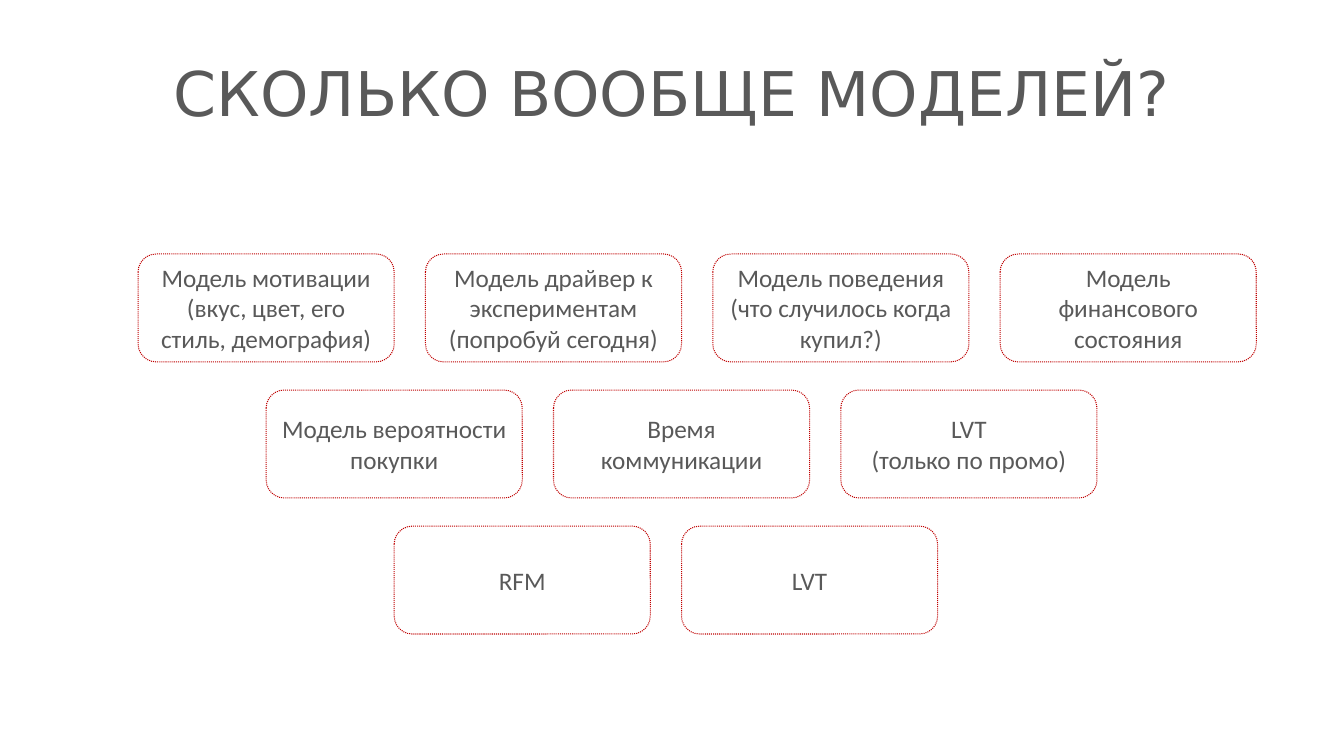
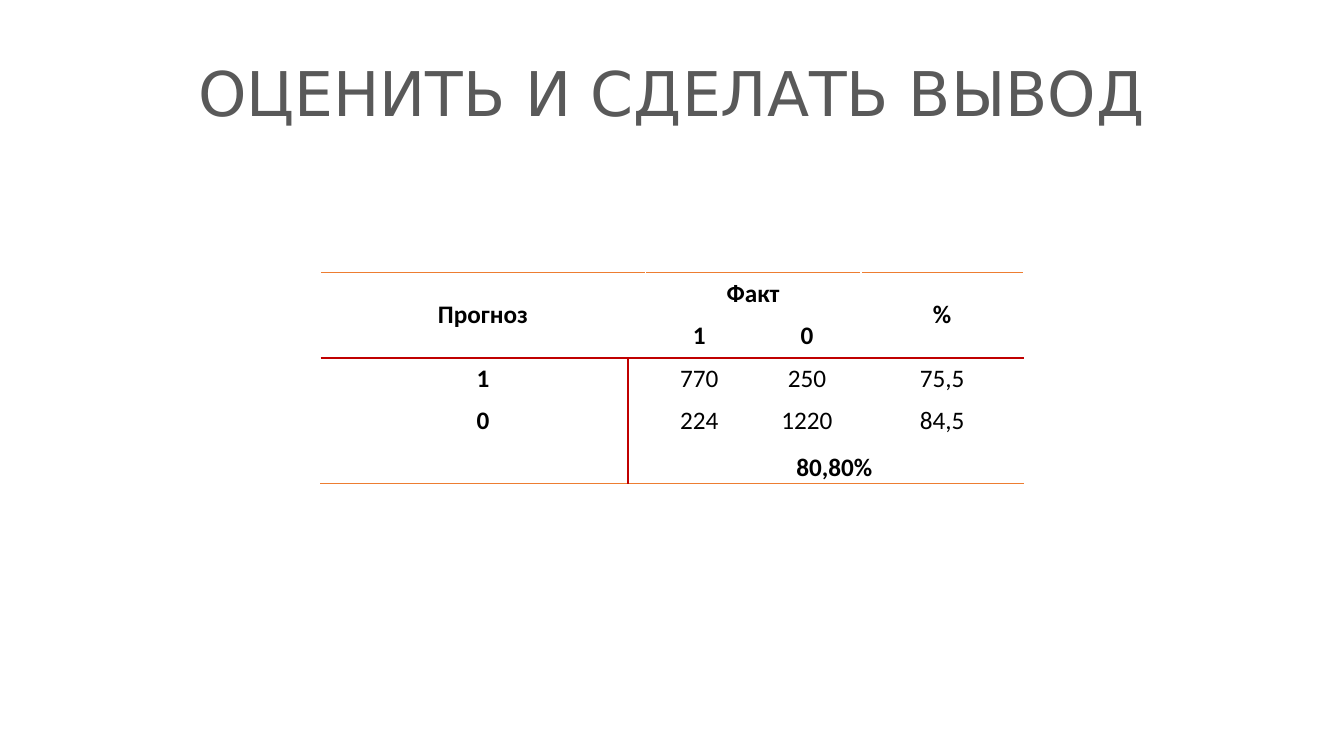
from lxml import etree
from pptx import Presentation
from pptx.dml.color import RGBColor
from pptx.enum.dml import MSO_LINE
from pptx.enum.shapes import MSO_CONNECTOR, MSO_SHAPE
from pptx.enum.text import MSO_ANCHOR, PP_ALIGN
from pptx.oxml.ns import qn
from pptx.util import Inches, Pt

GREY = RGBColor(0x59, 0x59, 0x59)
BLACK = RGBColor(0x00, 0x00, 0x00)
RED = RGBColor(0xC0, 0x00, 0x00)
ORANGE = RGBColor(0xED, 0x7D, 0x31)

TITLE_FONT = "DejaVu Sans"
BODY_FONT = "Calibri"
CENTER = PP_ALIGN.CENTER
MIDDLE = MSO_ANCHOR.MIDDLE
BOTTOM = MSO_ANCHOR.BOTTOM
ROUNDED = MSO_SHAPE.ROUNDED_RECTANGLE
STRAIGHT = MSO_CONNECTOR.STRAIGHT
DOTTED = MSO_LINE.ROUND_DOT

BOX_WIDTH, BOX_HEIGHT = 2.54, 1.07
BOX_LEFT, BOX_TOP = 1.37, 2.52
BOX_STEP_X, BOX_STEP_Y = 2.85, 1.35
ROW_INDENT = 1.27
MODEL_ROWS = [
    ["Модель мотивации\n(вкус, цвет, его стиль, демография)",
     "Модель драйвер к экспериментам\n(попробуй сегодня)",
     "Модель поведения\n(что случилось когда купил?)",
     "Модель финансового состояния"],
    ["Модель вероятности покупки", "Время коммуникации",
     "LVT\n(только по промо)"],
    ["RFM", "LVT"],
]

TABLE_LEFT, TABLE_TOP = 3.18, 2.7
COLUMN_WIDTHS = [3.22, 1.07, 1.07, 1.61]
ROW_HEIGHT = 0.42
FORECAST_ROWS = [
    ["Прогноз", "Факт", "", "%"],
    ["", "1", "0", ""],
    ["1", "770", "250", "75,5"],
    ["0", "224", "1220", "84,5"],
    ["", "80,80%", "", ""],
]
MERGES = [((0, 0), (1, 0)), ((0, 1), (0, 2)), ((0, 3), (1, 3)), ((4, 1), (4, 3))]
HEADER_BOTTOM, TABLE_BOTTOM = 3.55, 4.8
DIVIDER_X, TABLE_RIGHT = 6.23, 10.16


def write_text(paragraph, text, size, font, color, bold=False):
    paragraph.text = text
    paragraph.alignment = CENTER
    for run in paragraph.runs:
        run.font.size = Pt(size)
        run.font.name = font
        run.font.color.rgb = color
        run.font.bold = bold


def add_titled_slide(presentation, title):
    slide = presentation.slides.add_slide(presentation.slide_layouts[6])
    box = slide.shapes.add_textbox(Inches(0.62), Inches(0.58),
                                   Inches(12.09), Inches(1.45))
    box.text_frame.word_wrap = True
    paragraph = box.text_frame.paragraphs[0]
    write_text(paragraph, title, 44, TITLE_FONT, GREY)
    paragraph.line_spacing = 0.9
    return slide


def add_model_box(slide, left, top, text):
    shape = slide.shapes.add_shape(ROUNDED, Inches(left), Inches(top),
                                   Inches(BOX_WIDTH), Inches(BOX_HEIGHT))
    shape.shadow.inherit = False
    shape.fill.background()
    shape.line.color.rgb = RED
    shape.line.width = Pt(0.75)
    shape.line.dash_style = DOTTED
    shape.text_frame.word_wrap = True
    shape.text_frame.vertical_anchor = MIDDLE
    write_text(shape.text_frame.paragraphs[0], text, 18, BODY_FONT, GREY)


def add_line(slide, x1, y1, x2, y2):
    line = slide.shapes.add_connector(STRAIGHT, Inches(x1), Inches(y1),
                                      Inches(x2), Inches(y2))
    line.line.color.rgb = RED
    line.line.width = Pt(1)
    etree.SubElement(line._element.spPr, qn("a:effectLst"))


def add_cell_border(cell, side):
    """Draw an orange edge; side is a:lnT or a:lnB."""
    border = etree.Element(qn(side), w=str(Pt(1)))
    fill = etree.SubElement(border, qn("a:solidFill"))
    etree.SubElement(fill, qn("a:srgbClr"), val=str(ORANGE))
    cell._tc.get_or_add_tcPr().insert(0, border)


def format_cell(cell, text, bold, anchor):
    cell.fill.background()
    cell.margin_left = cell.margin_right = cell.margin_top = Inches(0.01)
    cell.margin_bottom = 0
    cell.vertical_anchor = anchor
    write_text(cell.text_frame.paragraphs[0], text, 18, BODY_FONT, BLACK, bold)


def add_forecast_table(slide):
    last_row = len(FORECAST_ROWS) - 1
    table = slide.shapes.add_table(
        len(FORECAST_ROWS), len(COLUMN_WIDTHS), Inches(TABLE_LEFT), Inches(TABLE_TOP),
        Inches(sum(COLUMN_WIDTHS)), Inches(ROW_HEIGHT * len(FORECAST_ROWS))).table
    table.first_row = table.horz_banding = False
    for column, width in zip(table.columns, COLUMN_WIDTHS):
        column.width = Inches(width)
    for row_index, texts in enumerate(FORECAST_ROWS):
        table.rows[row_index].height = Inches(ROW_HEIGHT)
        for column_index, text in enumerate(texts):
            cell = table.cell(row_index, column_index)
            is_value = row_index in (2, 3) and column_index > 0
            anchor = BOTTOM if row_index == last_row else MIDDLE
            format_cell(cell, text, not is_value, anchor)
            if row_index == 0:
                add_cell_border(cell, "a:lnT")
            elif row_index == last_row:
                add_cell_border(cell, "a:lnB")
    for first, last in MERGES:
        table.cell(*first).merge(table.cell(*last))


def build_models_slide(presentation):
    slide = add_titled_slide(presentation, "СКОЛЬКО ВООБЩЕ МОДЕЛЕЙ?")
    for row_index, models in enumerate(MODEL_ROWS):
        for column_index, text in enumerate(models):
            left = BOX_LEFT + row_index * ROW_INDENT + column_index * BOX_STEP_X
            add_model_box(slide, left, BOX_TOP + row_index * BOX_STEP_Y, text)


def build_evaluation_slide(presentation):
    slide = add_titled_slide(presentation, "ОЦЕНИТЬ И СДЕЛАТЬ ВЫВОД")
    add_forecast_table(slide)
    add_line(slide, TABLE_LEFT, HEADER_BOTTOM, TABLE_RIGHT, HEADER_BOTTOM)
    add_line(slide, DIVIDER_X, HEADER_BOTTOM, DIVIDER_X, TABLE_BOTTOM)


def main():
    presentation = Presentation()
    presentation.slide_width = Inches(13.33)
    presentation.slide_height = Inches(7.5)
    build_models_slide(presentation)
    build_evaluation_slide(presentation)
    presentation.save("out.pptx")


if __name__ == "__main__":
    main()
